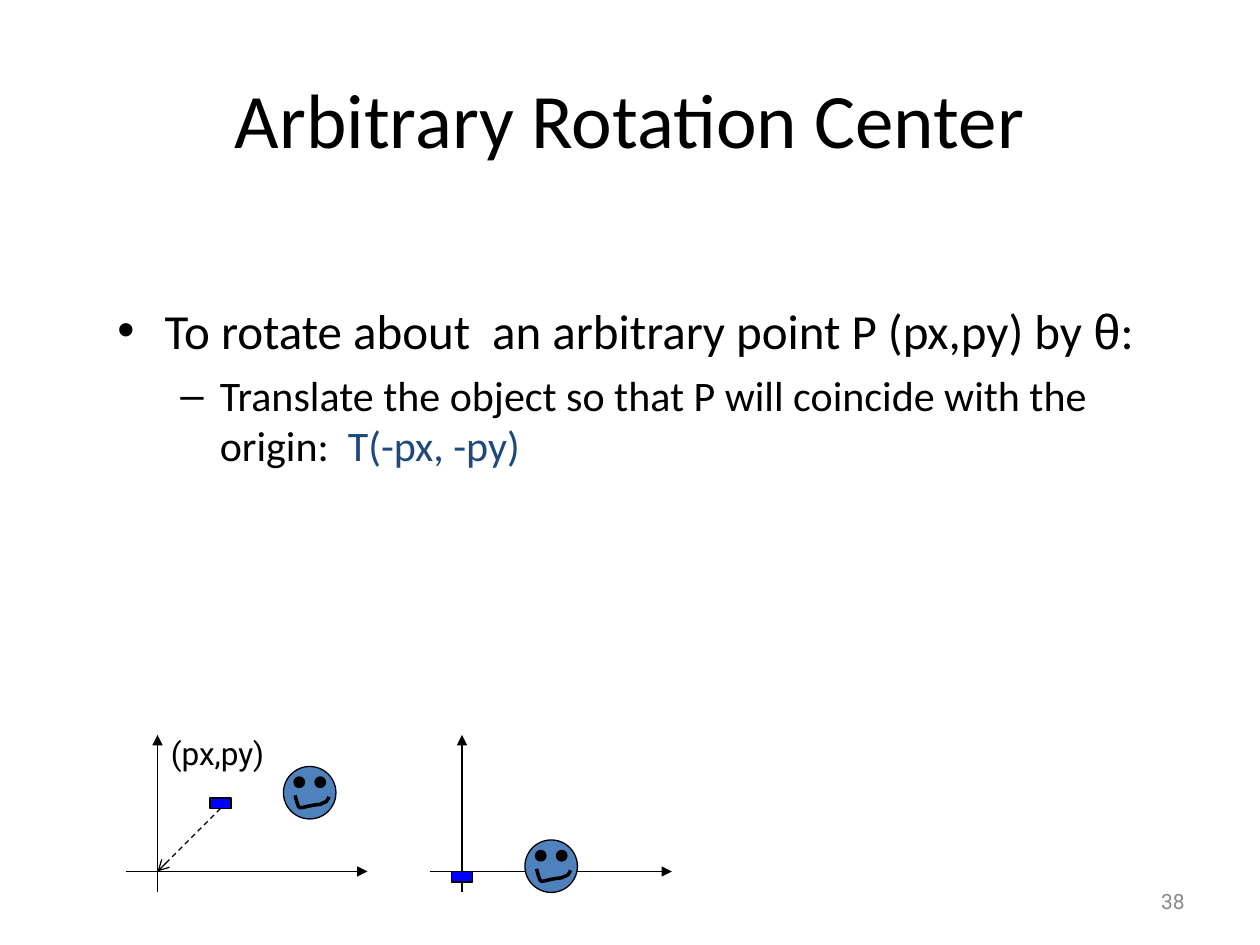
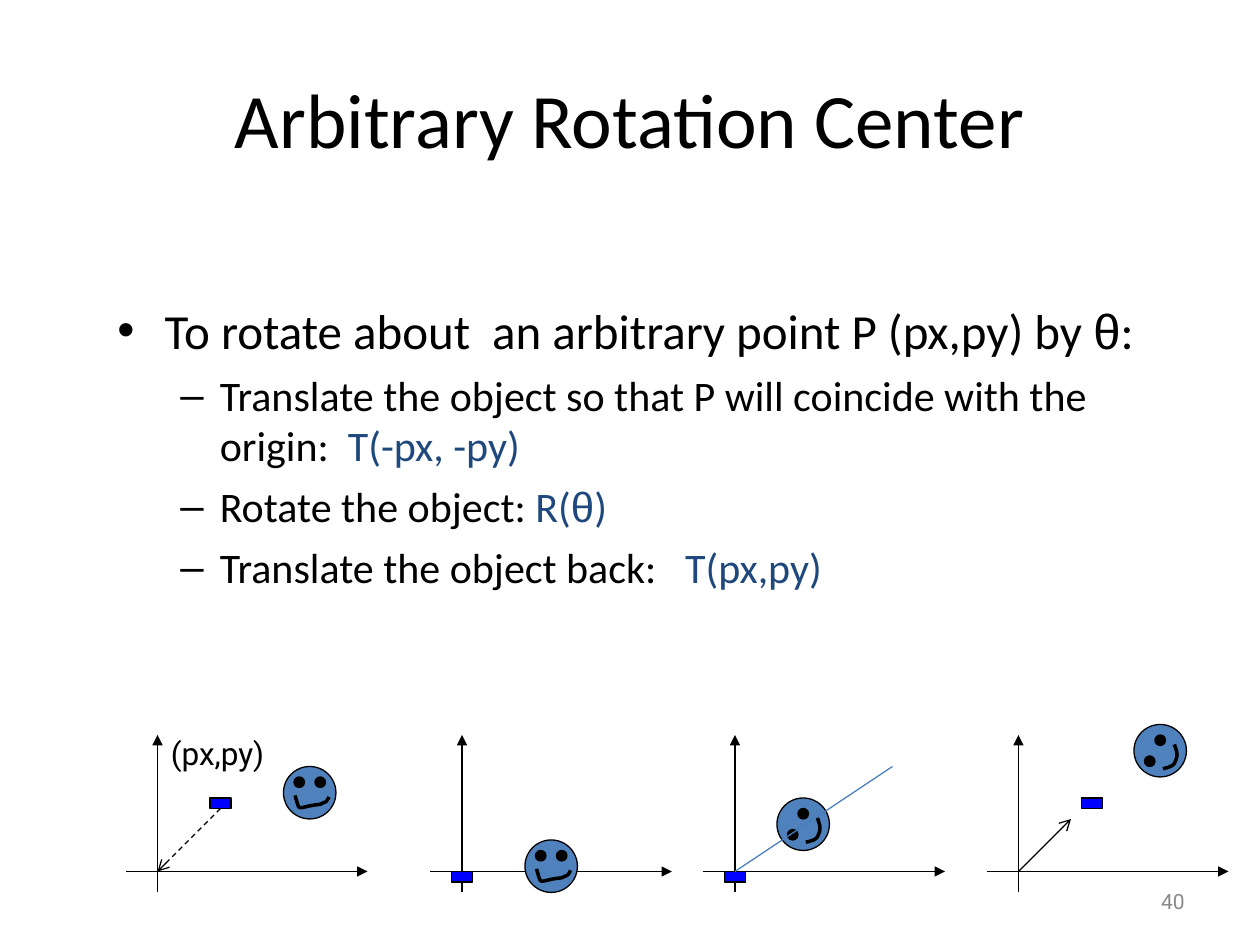
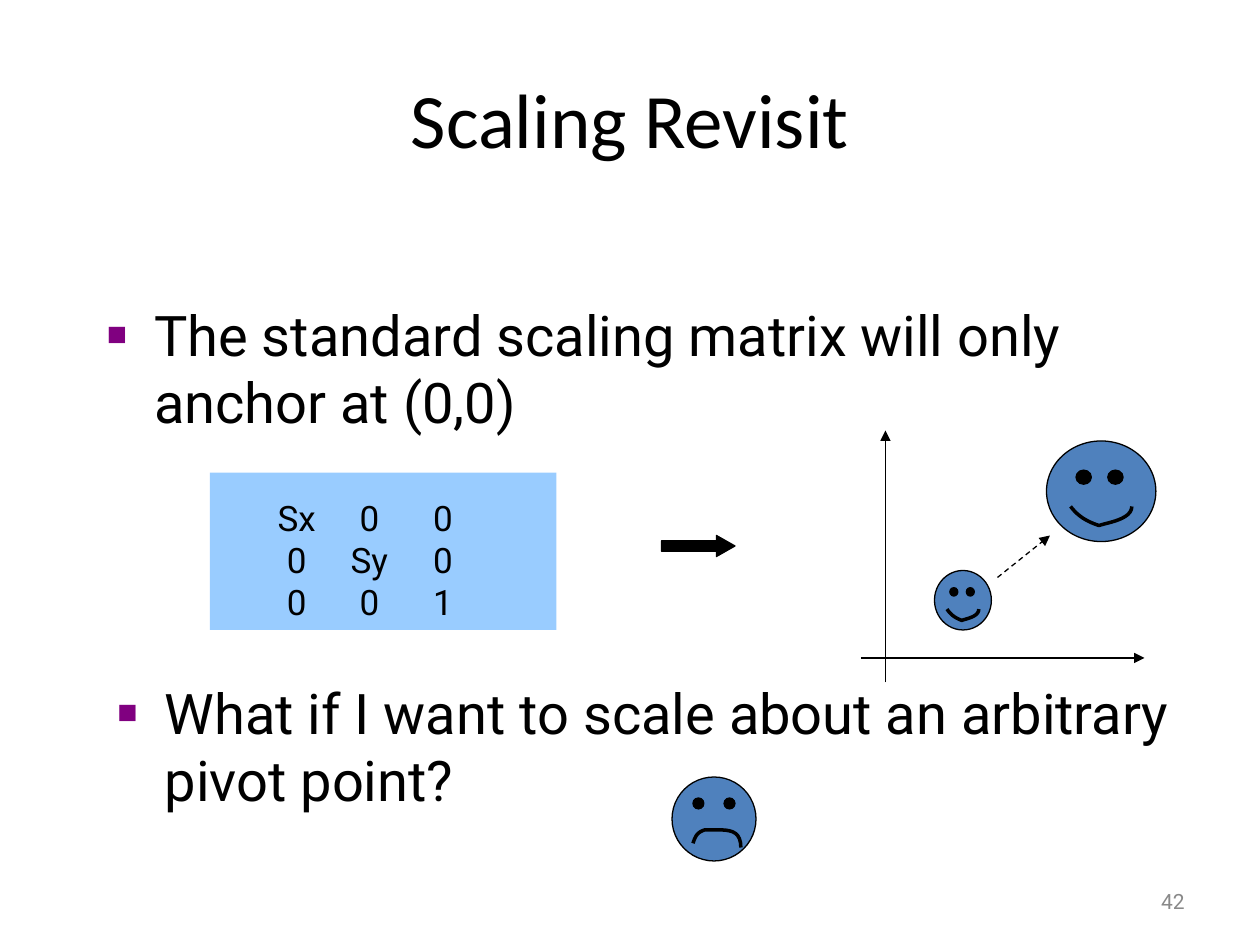
from lxml import etree
from pptx import Presentation
from pptx.dml.color import RGBColor
from pptx.enum import dml, shapes, text
from pptx.oxml import ns
from pptx.util import Pt

COLORS = {
    "ink": "000000", "formula": "1F497D", "number": "898989", "face": "4F81BD",
    "pivot": "0000FF", "ray": "4A7EBB", "panel": "99CCFF", "square": "800080",
}
RGB = {name: RGBColor.from_string(value) for name, value in COLORS.items()}
BULLETS = {
    "•": {"margin": 27, "indent": -27, "percent": 100, "color": "ink", "size": 28},
    "–": {"margin": 58.5, "indent": -22.5, "percent": 100, "color": "ink", "size": 24},
    "■": {"margin": 27, "indent": -27, "percent": 60, "color": "square", "size": 32},
}
MATRIX_TABS = (33.5, 75, 117)

EXPRESSIONS = {
    "upright": {
        "eye": 0.2, "eyes": [(0.2, 0.2), (0.6, 0.2)],
        "mouth": [(0.22, 0.55), (0.33, 0.9), (0.22, 0.77), (0.7, 0.72),
                  (0.84, 0.65), (0.8, 0.7), (0.87, 0.58)],
    },
    "turned": {
        "eye": 0.2, "eyes": [(0.4, 0.2), (0.2, 0.6)],
        "mouth": [(0.77, 0.38), (0.82, 0.53), (0.85, 0.58), (0.77, 0.74),
                  (0.72, 0.82), (0.55, 0.84), (0.55, 0.84)],
    },
    "smile": {
        "eye": 0.14, "eyes": [(0.27, 0.29), (0.56, 0.29)],
        "mouth": [(0.22, 0.65), (0.29, 0.75), (0.37, 0.8), (0.48, 0.84),
                  (0.56, 0.81), (0.78, 0.78), (0.78, 0.65)],
    },
    "sad": {
        "eye": 0.13, "eyes": [(0.25, 0.25), (0.62, 0.25)],
        "mouth": [(0.25, 0.79), (0.28, 0.7), (0.3, 0.66), (0.39, 0.63),
                  (0.6, 0.64), (0.82, 0.58), (0.82, 0.84)],
    },
}

AXIS_Y = 498
SCENES = [
    {"axis": 90, "pivot": (120, 456), "face": (162, 438), "mood": "upright"},
    {"axis": 264, "pivot": (258, AXIS_Y), "face": (300, 480), "mood": "upright"},
    {"axis": 420, "pivot": (414, AXIS_Y), "face": (444, 456), "mood": "turned"},
    {"axis": 582, "pivot": (618, 456), "face": (648, 414), "mood": "turned"},
]
MOVE_TO_ORIGIN = ((126, 462), (90, AXIS_Y), "ink", "arrow", True)
ROTATION_RAY = ((420, AXIS_Y), (510, 438), "ray", None, False)
MOVE_BACK = ((582, AXIS_Y), (612, 468), "ink", "arrow", False)

STEPS = [
    ("•", [("To rotate about  an arbitrary point P (px,py) by ", {}),
           ("θ", {"font": "Arial"}), (":", {})]),
    ("–", [("Translate the object so that P will coincide with the origin:  ", {}),
           ("T(-px, -py)", {"color": "formula"})]),
    ("–", [("Rotate the object: ", {}), ("R(", {"color": "formula"}),
           ("θ", {"color": "formula", "font": "Arial"}), (")", {"color": "formula"})]),
    ("–", [("Translate the object back:   ", {}), ("T(px,py)", {"color": "formula"})]),
]
ROTATION_PAGES = [
    {"number": "38", "steps": 2, "scenes": 2, "moves": [MOVE_TO_ORIGIN]},
    {"number": "40", "steps": 4, "scenes": 4,
     "moves": [MOVE_TO_ORIGIN, MOVE_BACK, ROTATION_RAY]},
]

PAGES = []
for rotation in ROTATION_PAGES:
    scenes = SCENES[:rotation["scenes"]]
    PAGES.append({
        "title": "Arbitrary Rotation Center",
        "number": rotation["number"],
        "panels": [],
        "texts": [
            ((60, 168, 612, 324), STEPS[:rotation["steps"]], {"font": "Calibri"}),
            ((90.5, 416, 71, 29), [(None, [("(px,py)", {})])], {"size": 18}),
        ],
        "axes": [(scene["axis"], AXIS_Y, 18, 120, 12, 78) for scene in scenes],
        "pivots": [scene["pivot"] for scene in scenes],
        "faces": [(*scene["face"], 30, 30, scene["mood"]) for scene in scenes],
        "moves": rotation["moves"],
    })
PAGES.append({
    "title": "Scaling Revisit",
    "number": "42",
    "panels": [("RECTANGLE", (120, 270, 198, 90), "panel"),
               ("RIGHT_ARROW", (378, 306, 42, 12), "ink")],
    "texts": [
        ((54, 168, 612, 324),
         [("■", [("The standard scaling matrix will only anchor at (0,0)", {})])], {}),
        ((129, 280, 150, 80),
         [(None, [("\t" + "\t".join(row), {})])
          for row in (("Sx", "0", "0"), ("0", "Sy", "0"), ("0", "0", "1"))],
         {"size": 20, "tabs": MATRIX_TABS}),
        ((60, 384, 630, 108),
         [("■", [("What if I want to scale about an arbitrary pivot point?", {})])], {}),
    ],
    "axes": [(506, 376, 14, 148, 14, 130)],
    "pivots": [],
    "faces": [(534, 326, 32.5, 34, "smile"), (598, 252, 62.5, 57.5, "smile"),
              (384, 444, 48, 48, "sad")],
    "moves": [((570, 330), (600, 306), "ink", "triangle", True)],
})


def write(page, place, paragraphs, size=18, font="Roboto", color="ink",
          align="LEFT", anchor="TOP", tabs=()):
    box = page.shapes.add_textbox(*map(Pt, place))
    frame = box.text_frame
    frame.word_wrap = True
    frame.vertical_anchor = text.MSO_ANCHOR[anchor]
    for index, (bullet, spans) in enumerate(paragraphs):
        para = frame.paragraphs[0] if index == 0 else frame.add_paragraph()
        para.alignment = text.PP_ALIGN[align]
        props = para._p.get_or_add_pPr()
        style = BULLETS.get(bullet, {"size": size})
        if bullet:
            if index:
                para.space_before = Pt(6)
            props.set("marL", str(Pt(style["margin"])))
            props.set("indent", str(Pt(style["indent"])))
            tint = etree.SubElement(props, ns.qn("a:buClr"))
            etree.SubElement(tint, ns.qn("a:srgbClr"), val=COLORS[style["color"]])
            etree.SubElement(props, ns.qn("a:buSzPct"), val=str(style["percent"] * 1000))
            etree.SubElement(props, ns.qn("a:buFont"), typeface="Arial")
            etree.SubElement(props, ns.qn("a:buChar"), char=bullet)
        if tabs:
            stops = etree.SubElement(props, ns.qn("a:tabLst"))
            for stop in tabs:
                etree.SubElement(stops, ns.qn("a:tab"), pos=str(Pt(stop)), algn="ctr")
        para.font.size = Pt(style["size"])
        para.font.name = font
        para.font.color.rgb = RGB[color]
        for words, changes in spans:
            span = para.add_run()
            span.text = words
            if "font" in changes:
                span.font.name = changes["font"]
            if "color" in changes:
                span.font.color.rgb = RGB[changes["color"]]


def add_figure(page, kind, place, fill, line="ink"):
    figure = page.shapes.add_shape(shapes.MSO_SHAPE[kind], *map(Pt, place))
    figure.shadow.inherit = False
    figure.fill.solid()
    figure.fill.fore_color.rgb = RGB[fill]
    figure.line.color.rgb = RGB[line]
    figure.line.width = Pt(0.75)
    return figure


deck = Presentation()
deck.slide_width, deck.slide_height = Pt(720), Pt(540)

for content in PAGES:
    page = deck.slides.add_slide(deck.slide_layouts[6])
    write(page, (36, 22, 648, 90), [(None, [(content["title"], {})])],
          size=44, font="Calibri", align="CENTER", anchor="MIDDLE")
    write(page, (516, 500.5, 168, 29), [(None, [(content["number"], {})])],
          size=12, color="number", align="RIGHT", anchor="MIDDLE")

    for kind, place, fill in content["panels"]:
        panel = add_figure(page, kind, place, fill, fill)
        if kind == "RIGHT_ARROW":
            panel.adjustments[1] = 0.88
        else:
            panel.line.fill.background()

    for place, paragraphs, style in content["texts"]:
        write(page, place, paragraphs, **style)

    axis_lines = []
    for x, y, back, ahead, down, up in content["axes"]:
        axis_lines.append(((x - back, y), (x + ahead, y), "ink", "triangle", False))
        axis_lines.append(((x, y + down), (x, y - up), "ink", "triangle", False))

    for layer in ("axes", "objects", "moves"):
        if layer == "objects":
            for x, y in content["pivots"]:
                add_figure(page, "RECTANGLE", (x, y, 12, 6), "pivot")
            for left, top, width, height, mood in content["faces"]:
                look = EXPRESSIONS[mood]
                add_figure(page, "OVAL", (left, top, width, height), "face")
                for x, y in look["eyes"]:
                    add_figure(page, "OVAL", (left + x * width, top + y * height,
                                              look["eye"] * width, look["eye"] * height), "ink")
                points = [(Pt(left + x * width), Pt(top + y * height))
                          for x, y in look["mouth"]]
                curve = []
                for first in (0, 3):
                    a, b, c, d = points[first:first + 4]
                    for step in range(1, 13):
                        t = step / 12
                        s = 1 - t
                        curve.append(tuple(
                            round(s**3 * a[k] + 3 * s * s * t * b[k]
                                  + 3 * s * t * t * c[k] + t**3 * d[k]) for k in (0, 1)))
                builder = page.shapes.build_freeform(*points[0])
                builder.add_line_segments(curve, close=False)
                mouth = builder.convert_to_shape()
                mouth.shadow.inherit = False
                mouth.fill.background()
                mouth.line.color.rgb = RGB["ink"]
                mouth.line.width = Pt(2)
            continue
        for start, end, color, head, dashed in axis_lines if layer == "axes" else content["moves"]:
            line = page.shapes.add_connector(
                shapes.MSO_CONNECTOR.STRAIGHT, *map(Pt, start + end))
            line.line.color.rgb = RGB[color]
            line.line.width = Pt(0.75)
            if dashed:
                line.line.dash_style = dml.MSO_LINE.DASH
            if head:
                etree.SubElement(line.line._get_or_add_ln(), ns.qn("a:tailEnd"), type=head)
            etree.SubElement(line._element.spPr, ns.qn("a:effectLst"))

deck.save("out.pptx")
